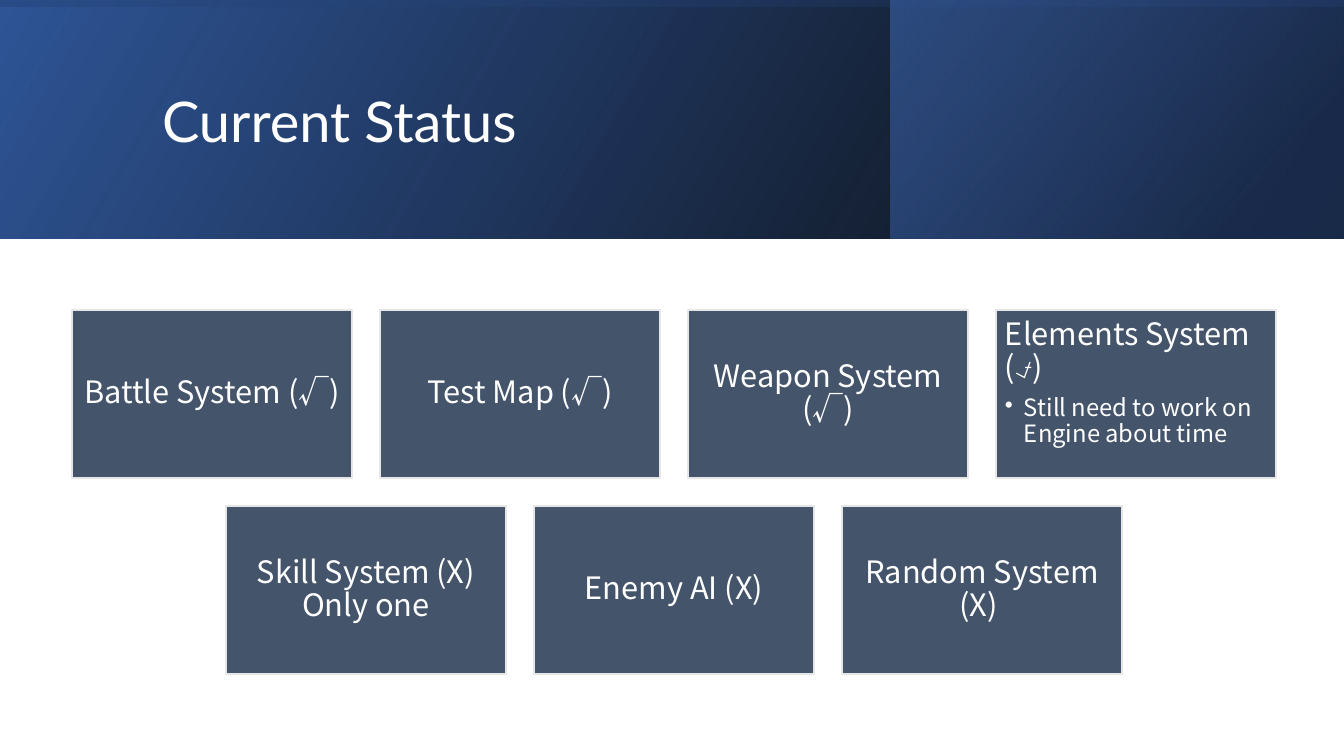
import pptx
import pptx.util
import pptx.dml.color
import pptx.enum.shapes
import pptx.enum.text
import pptx.oxml
import pptx.oxml.ns

PX = 914400 / 100.8
WIDE, HIGH, BAND = 1344, 756, 239
HEX = {"white": "FFFFFF", "slate": "44546A", "edge": "E7E6E6", "black": "000000",
       "blue": "2F5597", "navy": "203864", "sky": "4472C4"}
ALIGN = pptx.enum.text.PP_ALIGN
ANCHOR = pptx.enum.text.MSO_ANCHOR
RECT = pptx.enum.shapes.MSO_SHAPE.RECTANGLE

TITLE = "Current Status"
# Each card is a list of paragraphs, each paragraph a list of (text, bold) runs.
ROWS = [
    [[[("Battle System (√)", False)]],
     [[("Test Map (√)", False)]],
     [[("Weapon System (√)", False)]],
     [[("Elements System (", False), ("⍻", True), (") ", False)],
      [("Still need to work on Engine about time", False)]]],
    [[[("Skill System (X) Only one", False)]],
     [[("Enemy AI (X)", False)]],
     [[("Random System (X) ", False)]]],
]
# Box, rotation, gradient angle, stops of (position, colour, opacity) in percent.
SIDE = (WIDE - BAND) / 2
BANDS = [
    ((0, 0, WIDE, BAND), 0, 330, [(0, "black", 96), (100, "blue", 100)]),
    ((891, 0, 452, BAND), 0, 320, [(19, "navy", 68), (100, "sky", 48)]),
    ((SIDE, -SIDE, BAND, WIDE), 270, 350, [(23, "blue", 16), (99, "black", 45)]),
]
LEFT, TOP, CARD_W, CARD_H, GAP, PAD = 72, 310, 280, 168, 28, 9
HEAD = {"size": pptx.util.Pt(22), "name": "Noto Sans CJK SC"}
NOTE = {**HEAD, "size": pptx.util.Pt(17)}


def emu(px):
    """Turn pixels into EMU."""
    return pptx.util.Emu(round(px * PX))


def put(item, vals):
    """Set attributes from a dict."""
    for key, val in vals.items():
        setattr(item, key, val)


def rgb(name):
    """Look up a colour."""
    return pptx.dml.color.RGBColor.from_string(HEX[name])


def style(font, vals):
    """Format a font in white."""
    put(font, vals)
    font.color.rgb = rgb("white")


def rect(slide, box):
    """Add a rectangle without shadow."""
    shape = slide.shapes.add_shape(RECT, *map(emu, box))
    shape.shadow.inherit = False
    return shape


def add_band(slide, box, turn, angle, stops):
    """Add a mirrored rectangle with a translucent gradient."""
    shape = rect(slide, box)
    shape.rotation = turn
    shape.line.fill.background()
    marks = "".join(
        f'<a:gs pos="{pos * 1000}"><a:srgbClr val="{HEX[name]}">'
        f'<a:alpha val="{alpha * 1000}"/></a:srgbClr></a:gs>'
        for pos, name, alpha in stops)
    props = shape._element.spPr
    props.find(pptx.oxml.ns.qn("a:xfrm")).set("flipH", "1")
    props.find(pptx.oxml.ns.qn("a:prstGeom")).addnext(pptx.oxml.parse_xml(
        f'<a:gradFill {pptx.oxml.ns.nsdecls("a")} rotWithShape="1"><a:gsLst>{marks}'
        f'</a:gsLst><a:lin ang="{angle * 60000}" scaled="0"/></a:gradFill>'))


def add_bullet(para):
    """Give a paragraph a hanging bullet."""
    props = para._p.get_or_add_pPr()
    indent = emu(19)
    props.set("marL", str(indent))
    props.set("indent", str(-indent))
    props.append(pptx.oxml.parse_xml(
        f'<a:buChar {pptx.oxml.ns.nsdecls("a")} char="•"/>'))


def add_card(slide, left, top, paras):
    """Add a status card; one with notes is set from the top left."""
    card = rect(slide, (left, top, CARD_W, CARD_H))
    card.fill.solid()
    card.fill.fore_color.rgb = rgb("slate")
    card.line.color.rgb = rgb("edge")
    card.line.width = pptx.util.Pt(1)
    noted = len(paras) > 1
    frame = card.text_frame
    put(frame, {"word_wrap": True,
                "vertical_anchor": ANCHOR.TOP if noted else ANCHOR.MIDDLE})
    put(frame, {f"margin_{side}": emu(PAD) for side in ("left", "top", "right", "bottom")})
    for num, runs in enumerate(paras):
        para = frame.add_paragraph() if num else frame.paragraphs[0]
        put(para, {"alignment": ALIGN.LEFT if noted else ALIGN.CENTER,
                   "line_spacing": 0.9, "level": min(num, 1),
                   "space_after": pptx.util.Pt(2.6 if num else 7.7)})
        if num:
            add_bullet(para)
        for text, bold in runs:
            run = para.add_run()
            run.text = text
            style(run.font, {**(NOTE if num else HEAD), "bold": bold})


def add_title(slide):
    """Place the title in front of the bands."""
    title = slide.shapes.title
    put(title, dict(zip(("left", "top", "width", "height"),
                        map(emu, (152, 38, 1071, 172)))))
    frame = title.text_frame
    frame.text = TITLE
    put(frame, {"vertical_anchor": ANCHOR.MIDDLE, "word_wrap": True,
                "auto_size": pptx.enum.text.MSO_AUTO_SIZE.NONE})
    para = frame.paragraphs[0]
    put(para, {"alignment": ALIGN.LEFT, "line_spacing": 0.9})
    style(para.runs[0].font, {"size": pptx.util.Pt(40), "name": "Lato"})
    title._element.getparent().append(title._element)


deck = pptx.Presentation()
put(deck, {"slide_width": emu(WIDE), "slide_height": emu(HIGH)})
slide = deck.slides.add_slide(deck.slide_layouts[5])
for band in BANDS:
    add_band(slide, *band)
add_title(slide)
most = max(map(len, ROWS))
for line, cards in enumerate(ROWS):
    shift = (most - len(cards)) / 2
    for col, paras in enumerate(cards):
        add_card(slide, LEFT + (col + shift) * (CARD_W + GAP),
                 TOP + line * (CARD_H + GAP), paras)
deck.save("out.pptx")
